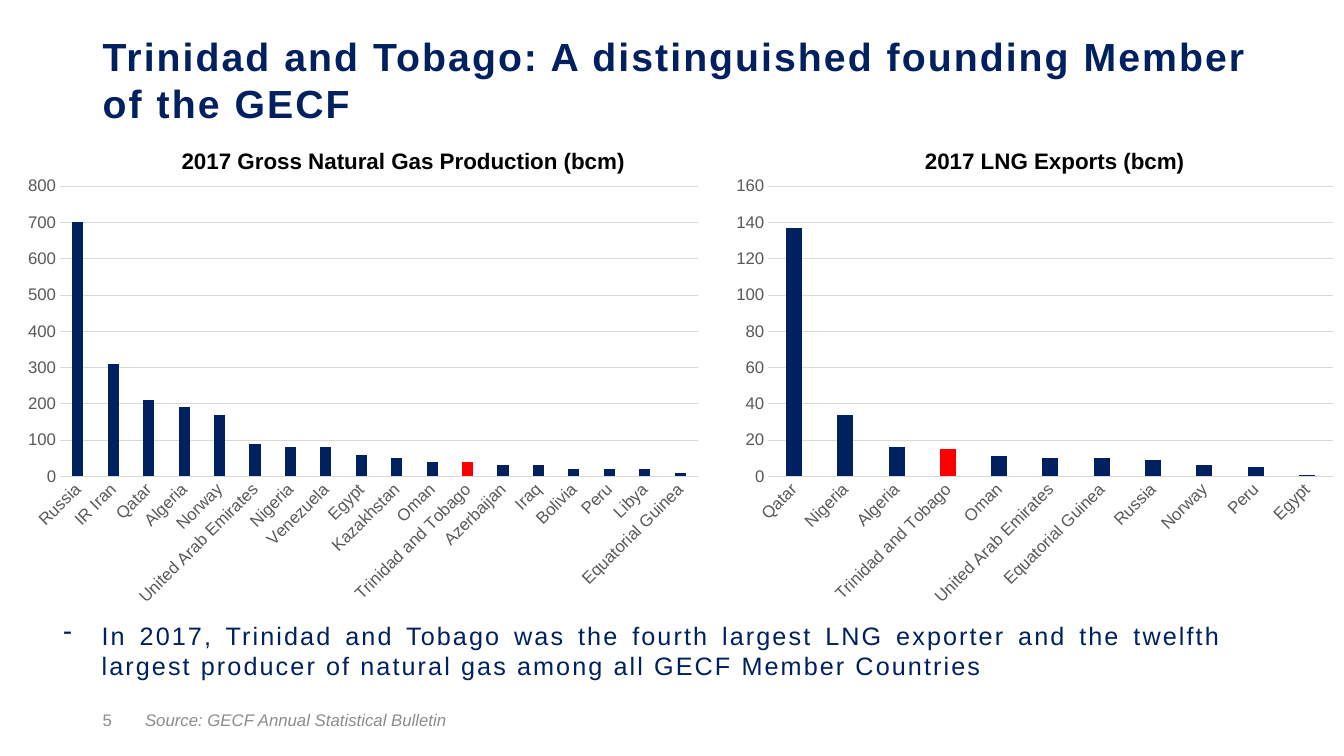
from dataclasses import dataclass

from lxml import etree
from pptx import Presentation
from pptx.chart.data import CategoryChartData
from pptx.dml.color import RGBColor
from pptx.enum import chart as ch, text
from pptx.oxml import ns
from pptx.util import Inches, Pt


@dataclass(frozen=True)
class Theme:
    navy: str = "002060"
    red: str = "FF0000"
    black: str = "000000"
    label: str = "595959"
    footer: str = "8C8C8C"
    grid: str = "D9D9D9"
    font: str = "Arial"
    chart_font: str = "Calibri"
    title_pt: int = 28
    body_pt: int = 18
    heading_pt: int = 16
    small_pt: int = 12
    chart_pt: int = 10
    tracking: int = 150


T = Theme()
TOP, MIDDLE = text.MSO_ANCHOR.TOP, text.MSO_ANCHOR.MIDDLE
LEFT, CENTER, JUSTIFY = text.PP_ALIGN.LEFT, text.PP_ALIGN.CENTER, text.PP_ALIGN.JUSTIFY


@dataclass(frozen=True)
class Label:
    words: str
    box: tuple[float, float, float, float]
    size: int
    color: str
    bold: bool = False
    italic: bool = False
    tracking: int = 0
    align: text.PP_ALIGN = LEFT
    anchor: text.MSO_ANCHOR = MIDDLE
    bullet: str = ""


@dataclass(frozen=True)
class CountryChart:
    heading: str
    heading_left: float
    left: float
    width: float
    top_value: int
    step: int
    values: dict[str, int]


HIGHLIGHT = "Trinidad and Tobago"

CHARTS = [
    CountryChart("2017 Gross Natural Gas Production (bcm)", 1.48, 0.14, 6.92, 800, 100, {
        "Russia": 700, "IR Iran": 310, "Qatar": 210, "Algeria": 190, "Norway": 170,
        "United Arab Emirates": 90, "Nigeria": 80, "Venezuela": 80, "Egypt": 60,
        "Kazakhstan": 50, "Oman": 40, HIGHLIGHT: 40, "Azerbaijan": 30, "Iraq": 30,
        "Bolivia": 20, "Peru": 20, "Libya": 20, "Equatorial Guinea": 10}),
    CountryChart("2017 LNG Exports (bcm)", 7.94, 7.18, 6.16, 160, 20, {
        "Qatar": 137, "Nigeria": 34, "Algeria": 16, HIGHLIGHT: 15, "Oman": 11,
        "United Arab Emirates": 10, "Equatorial Guinea": 10, "Russia": 9, "Norway": 6,
        "Peru": 5, "Egypt": 1}),
]

LABELS = [
    Label("Trinidad and Tobago: A distinguished founding Member of the GECF",
          (0.92, 0.3, 12.06, 0.97), T.title_pt, T.navy, bold=True, tracking=T.tracking),
    Label("In 2017, Trinidad and Tobago was the fourth largest LNG exporter and the twelfth "
          "largest producer of natural gas among all GECF Member Countries",
          (0.53, 6.1, 11.7, 0.71), T.body_pt, T.navy, tracking=T.tracking,
          align=JUSTIFY, anchor=TOP, bullet="-"),
    Label("5", (0.92, 6.94, 0.4, 0.4), T.small_pt, T.footer),
    Label("Source: GECF Annual Statistical Bulletin", (1.34, 6.99, 5.33, 0.3),
          T.small_pt, T.footer, italic=True),
]


def rgb(color: str) -> RGBColor:
    return RGBColor.from_string(color)


def style_font(font, size: int, color: str, name: str = T.font) -> None:
    font.name, font.size = name, Pt(size)
    font.color.rgb = rgb(color)


def add_label(s, label: Label) -> None:
    sp = s.shapes.add_textbox(*map(Inches, label.box))
    tf = sp.text_frame
    tf.word_wrap = True
    tf.vertical_anchor = label.anchor
    p = tf.paragraphs[0]
    p.alignment = label.align
    if label.bullet:
        pPr = p._p.get_or_add_pPr()
        pPr.set("marL", str(Inches(0.38)))
        pPr.set("indent", str(-Inches(0.38)))
        etree.SubElement(pPr, ns.qn("a:buChar"), char=label.bullet)
        p.space_after = Pt(18)
    r = p.add_run()
    r.text = label.words
    style_font(r.font, label.size, label.color)
    r.font.bold, r.font.italic = label.bold, label.italic
    if label.tracking:
        r._r.get_or_add_rPr().set("spc", str(label.tracking))


def style_axis(axis) -> None:
    axis.major_tick_mark = axis.minor_tick_mark = ch.XL_TICK_MARK.NONE
    style_font(axis.tick_labels.font, T.small_pt, T.label)


def style_line(line) -> None:
    line.color.rgb = rgb(T.grid)
    line.width = Pt(0.75)


def add_country_chart(s, spec: CountryChart) -> None:
    data = CategoryChartData(number_format="0")
    data.categories = list(spec.values)
    data.add_series("Series 1", list(spec.values.values()))
    frame = s.shapes.add_chart(ch.XL_CHART_TYPE.COLUMN_CLUSTERED, Inches(spec.left),
                               Inches(1.67), Inches(spec.width), Inches(4.43), data)
    chart = frame.chart
    chart.has_legend = chart.has_title = False
    style_font(chart.font, T.chart_pt, T.black, T.chart_font)

    countries, amounts = chart.category_axis, chart.value_axis
    for axis in (countries, amounts):
        style_axis(axis)
    style_line(countries.format.line)
    countries._element.find(ns.qn("c:txPr")).find(ns.qn("a:bodyPr")).set("rot", "-2700000")
    amounts.format.line.fill.background()
    amounts.has_major_gridlines = True
    style_line(amounts.major_gridlines.format.line)
    amounts.minimum_scale, amounts.maximum_scale = 0, spec.top_value
    amounts.major_unit = spec.step
    amounts.tick_labels.number_format = "0"
    amounts.tick_labels.number_format_is_linked = False

    plot = chart.plots[0]
    plot.gap_width, plot.overlap = 219, -27
    plot.vary_by_categories = False
    bars = plot.series[0]
    bars.invert_if_negative = False
    highlighted = bars.points[list(spec.values).index(HIGHLIGHT)]
    for part, color in ((bars, T.navy), (highlighted, T.red)):
        part.format.fill.solid()
        part.format.fill.fore_color.rgb = rgb(color)

    add_label(s, Label(spec.heading, (spec.heading_left, 1.41, 5.04, 0.37), T.heading_pt,
                       T.black, bold=True, align=CENTER, anchor=TOP))


def main() -> None:
    prs = Presentation()
    prs.slide_width, prs.slide_height = Inches(13.33), Inches(7.5)
    s = prs.slides.add_slide(prs.slide_layouts[6])
    for spec in CHARTS:
        add_country_chart(s, spec)
    for label in LABELS:
        add_label(s, label)
    prs.save("out.pptx")


if __name__ == "__main__":
    main()
